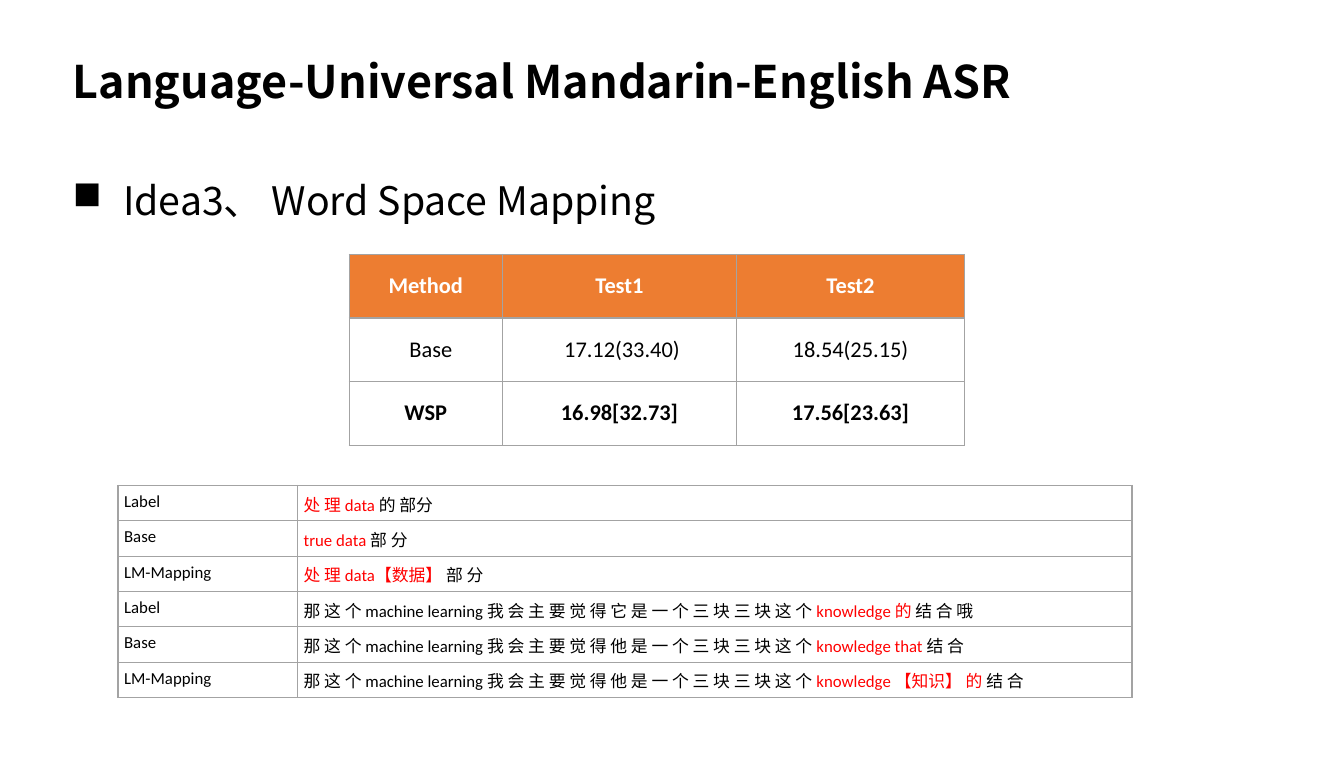
from lxml.etree import SubElement
from pptx import Presentation
from pptx.dml.color import RGBColor
from pptx.enum.text import MSO_ANCHOR as Anchor, PP_ALIGN as Align
from pptx.oxml.ns import qn
from pptx.util import Pt

PX = 9144
SANS, CALIBRI = "Noto Sans CJK SC", "Calibri"
BLACK, WHITE, RED, ORANGE, GREY = "000000", "FFFFFF", "FF0000", "ED7D31", "A3A3A3"

TITLE = "Language-Universal Mandarin-English ASR"
IDEA = "Idea3、 Word Space Mapping"
RESULTS = [
    ("Method", "Test1", "Test2"),
    ("Base", "17.12(33.40)", "18.54(25.15)"),
    ("WSP", "16.98[32.73]", "17.56[23.63]"),
]
RESULT_STYLES = [(WHITE, True, ORANGE), (BLACK, False, None), (BLACK, True, None)]
RESULT_INDENTS = {"Base": 10, "17.12(33.40)": 5}
OPENING = "那 这 个 machine learning 我 会 主 要 觉 得 {} 是 一 个 三 块 三 块 这 个"
EXAMPLES = [
    ("Label", "", "处 理 data ", "的 部分"),
    ("Base", "", "true data ", "部 分"),
    ("LM-Mapping", "", "处 理 data【数据】 ", "部 分"),
    ("Label", OPENING.format("它"), " knowledge 的 ", "结 合 哦"),
    ("Base", OPENING.format("他"), " knowledge that ", "结 合"),
    ("LM-Mapping", OPENING.format("他"), " knowledge 【知识】 的 ", "结 合"),
]


def color(value):
    return RGBColor.from_string(value)


def apply(target, values):
    for name, value in values.items():
        setattr(target, name, value)


def margins(left, other):
    sides = {f"margin_{side}": other * PX for side in ("right", "top", "bottom")}
    return {"margin_left": left * PX, **sides}


def add_span(para, text, size, font, shade, bold=False):
    span = para.add_run()
    span.text = text
    apply(span.font, {"size": Pt(size), "name": font, "bold": bold})
    span.font.color.rgb = color(shade)
    SubElement(span.font._element, qn("a:ea"), typeface=SANS)


def format_box(box, place, anchor):
    apply(box, dict(zip(("left", "top", "width", "height"), (n * PX for n in place))))
    apply(box.text_frame, {"word_wrap": True, "vertical_anchor": anchor, **margins(5, 5)})
    para = box.text_frame.paragraphs[0]
    apply(para, {"alignment": Align.LEFT, "line_spacing": 0.9})
    return para


def add_table(page, left, top, widths, row_height, row_count):
    frame = page.shapes.add_table(row_count, len(widths), left * PX, top * PX,
                                  sum(widths) * PX, row_height * row_count * PX)
    table = frame.table
    apply(table, {"first_row": False, "horz_banding": False})
    for column, width in zip(table.columns, widths):
        column.width = width * PX
    for row in table.rows:
        row.height = row_height * PX
    return table


def format_cell(cell, anchor, fill=None, indent=0):
    apply(cell, {"vertical_anchor": anchor, **margins(6 + indent, 6)})
    properties = cell._tc.get_or_add_tcPr()
    for side in ("lnL", "lnR", "lnT", "lnB"):
        line = SubElement(properties, qn(f"a:{side}"), w=str(Pt(1)))
        SubElement(SubElement(line, qn("a:solidFill")), qn("a:srgbClr"), val=GREY)
    if fill:
        cell.fill.solid()
        cell.fill.fore_color.rgb = color(fill)
    else:
        cell.fill.background()
    return cell.text_frame.paragraphs[0]


def add_results(page):
    table = add_table(page, 346, 252, (152, 232, 226), 63, len(RESULTS))
    for r, (texts, (shade, bold, fill)) in enumerate(zip(RESULTS, RESULT_STYLES)):
        for c, text in enumerate(texts):
            indent = RESULT_INDENTS.get(text, 0)
            para = format_cell(table.cell(r, c), Anchor.MIDDLE, fill, indent)
            para.alignment = Align.CENTER
            add_span(para, text, 16, CALIBRI, shade, bold)


def add_examples(page):
    table = add_table(page, 117, 481, (178, 827), 35, len(EXAMPLES))
    for r, (label, *parts) in enumerate(EXAMPLES):
        add_span(format_cell(table.cell(r, 0), Anchor.TOP), label, 12, CALIBRI, BLACK)
        para = format_cell(table.cell(r, 1), Anchor.TOP)
        for text, shade in zip(parts, (BLACK, RED, BLACK)):
            if text:
                add_span(para, text, 12, CALIBRI, shade)


def main():
    deck = Presentation()
    apply(deck, {"slide_width": 1332 * PX, "slide_height": 750 * PX})
    page = deck.slides.add_slide(deck.slide_layouts[5])

    para = format_box(page.shapes.title, (67, 45, 1199, 77), Anchor.MIDDLE)
    add_span(para, TITLE, 32, SANS, BLACK, True)

    idea = page.shapes.add_textbox(0, 0, PX, PX)
    para = format_box(idea, (67, 175, 1241, 575), Anchor.TOP)
    properties = para._p.get_or_add_pPr()
    properties.set("marL", str(50 * PX))
    properties.set("indent", str(-50 * PX))
    SubElement(properties, qn("a:buChar"), char="■")
    add_span(para, IDEA, 28, SANS, BLACK)

    add_results(page)
    add_examples(page)
    deck.save("out.pptx")


if __name__ == "__main__":
    main()
